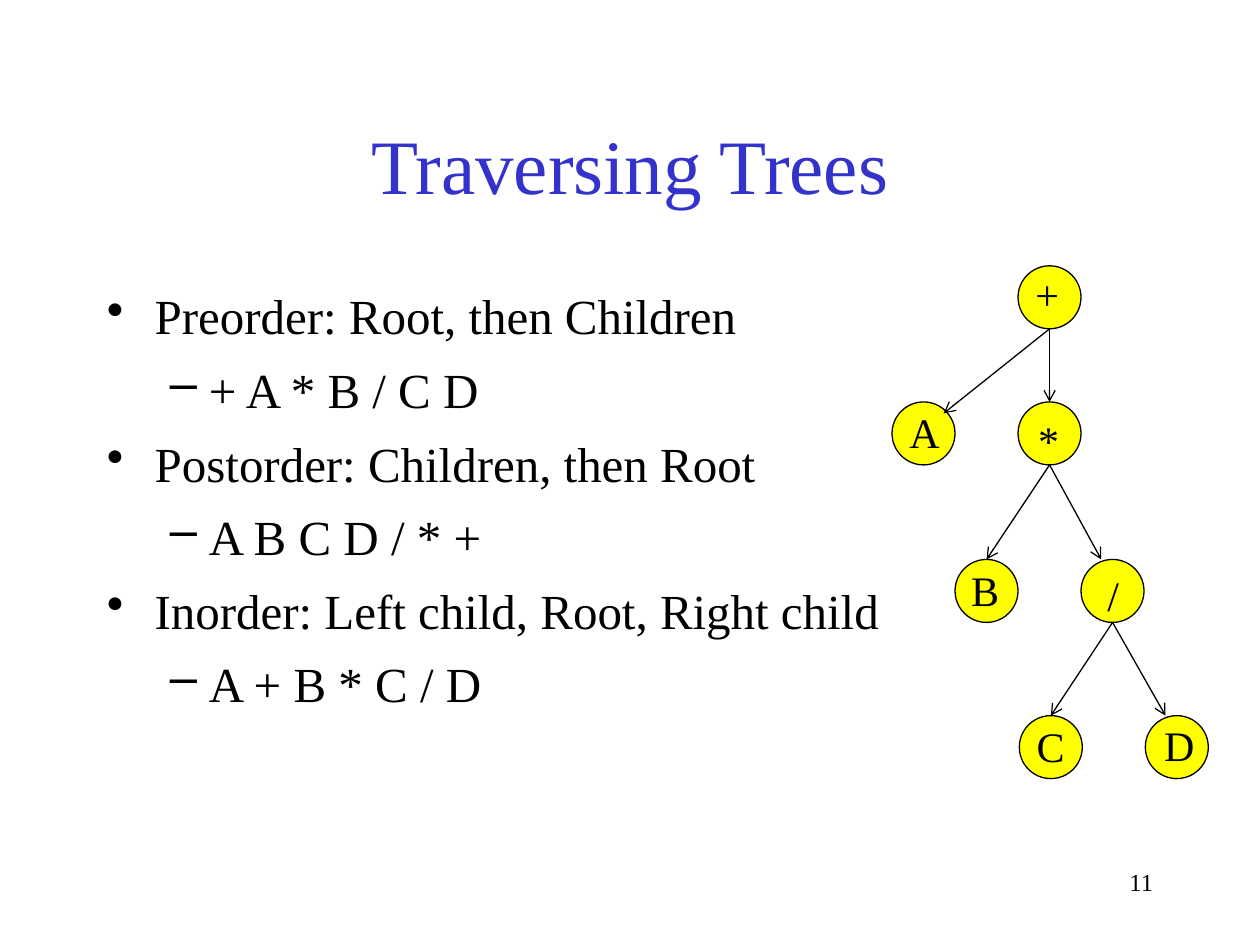
from dataclasses import dataclass

from lxml import etree
from pptx import Presentation
from pptx.dml.color import RGBColor
from pptx.enum import shapes, text
from pptx.oxml import ns
from pptx.util import Inches, Pt


@dataclass(frozen=True)
class Theme:
    face: str = "Times New Roman"
    ink: RGBColor = RGBColor(0x00, 0x00, 0x00)
    head: RGBColor = RGBColor(0x33, 0x33, 0xCC)
    node: RGBColor = RGBColor(0xFF, 0xFF, 0x00)
    line: float = 0.75
    title: int = 44
    body: int = 28
    label: int = 24
    small: int = 14


THEME = Theme()

# Paragraph level: bullet, left margin, hanging indent
LEVELS = [("•", 0.38, -0.38), ("–", 0.81, -0.31)]

ORDERS = [
    ("Preorder: Root, then Children", "+ A * B / C D"),
    ("Postorder: Children, then Root", "A B C D / * +"),
    ("Inorder: Left child, Root, Right child", "A + B * C / D"),
]

# Node: place in the tree box, label offset from the node
NODES = {
    "+": ((1, 0), (0.04, -0.03)),
    "A": ((0, 1.08), (0.04, -0.01)),
    "*": ((1, 1.08), (0.06, 0.05)),
    "B": ((0.5, 2.33), (0.03, -0.01)),
    "/": ((1.5, 2.33), (0.11, 0.03)),
    "C": ((1.01, 3.57), (0.04, -0.01)),
    "D": ((2.01, 3.57), (0.05, -0.02)),
}

# Parent, child, where the arrow meets the child
EDGES = [
    ("+", "A", (0.41, 0.09)),
    ("+", "*", (0.25, 0)),
    ("*", "B", (0.25, 0)),
    ("*", "/", (0.16, 0)),
    ("/", "C", (0.25, 0)),
    ("/", "D", (0.16, 0)),
]


def style(par, size, color=THEME.ink, align=text.PP_ALIGN.LEFT):
    par.alignment = align
    font = par.font
    font.name, font.size = THEME.face, Pt(size)
    font.color.rgb = color


def frame(slide, box):
    area = slide.shapes.add_textbox(*map(Inches, box)).text_frame
    area.word_wrap = True
    return area


def write(slide, box, words, size, **look):
    area = frame(slide, box)
    par = area.paragraphs[0]
    par.text = words
    style(par, size, **look)
    return area


def bullet(par, level):
    mark, left, hang = LEVELS[level]
    par.level = level
    props = par._p.get_or_add_pPr()
    props.set("marL", str(Inches(left)))
    props.set("indent", str(Inches(hang)))
    etree.SubElement(props, ns.qn("a:buChar")).set("char", mark)


def title(slide, box):
    area = write(slide, box, "Traversing Trees", THEME.title,
                 color=THEME.head, align=text.PP_ALIGN.CENTER)
    area.vertical_anchor = text.MSO_ANCHOR.MIDDLE


def body(slide, box):
    area = frame(slide, box)
    area.margin_top = Inches(0.1)
    lines = [(level, words) for pair in ORDERS
             for level, words in enumerate(pair)]
    for row, (level, words) in enumerate(lines):
        par = area.add_paragraph() if row else area.paragraphs[0]
        par.text = words
        bullet(par, level)
        par.space_before = Pt(8.4 if row else 0)
        style(par, THEME.body)


def arrow(slide, start, end):
    link = slide.shapes.add_connector(
        shapes.MSO_CONNECTOR.STRAIGHT, *map(Inches, start + end))
    link.line.color.rgb = THEME.ink
    link.line.width = Pt(THEME.line)
    tail = etree.SubElement(link.line._get_or_add_ln(), ns.qn("a:tailEnd"))
    tail.set("type", "arrow")
    etree.SubElement(link._element.spPr, ns.qn("a:effectLst"))


def tree(slide, box):
    left, top = box
    size = 0.5
    spots = {name: (left + x, top + y) for name, ((x, y), _) in NODES.items()}

    # Circles
    for x, y in spots.values():
        disc = slide.shapes.add_shape(
            shapes.MSO_SHAPE.OVAL, *map(Inches, (x, y, size, size)))
        disc.shadow.inherit = False
        disc.fill.solid()
        disc.fill.fore_color.rgb = THEME.node
        disc.line.color.rgb = THEME.ink
        disc.line.width = Pt(THEME.line)

    # Arrows from the foot of each parent
    for parent, child, (dx, dy) in EDGES:
        px, py = spots[parent]
        cx, cy = spots[child]
        arrow(slide, (px + size / 2, py + size), (cx + dx, cy + dy))

    # Labels
    for name, (x, y) in spots.items():
        dx, dy = NODES[name][1]
        write(slide, (x + dx, y + dy, 0.44, size), name, THEME.label)


def main():
    deck = Presentation()
    deck.slide_width, deck.slide_height = Inches(10), Inches(7.5)
    slide = deck.slides.add_slide(deck.slide_layouts[6])
    title(slide, (0.75, 0.67, 8.5, 1.25))
    body(slide, (0.75, 2.17, 8.5, 4.5))
    tree(slide, (7.08, 2.11))
    # Page number
    write(slide, (7.17, 6.83, 2.08, 0.5), "11", THEME.small,
          align=text.PP_ALIGN.RIGHT)
    deck.save("out.pptx")


if __name__ == "__main__":
    main()
